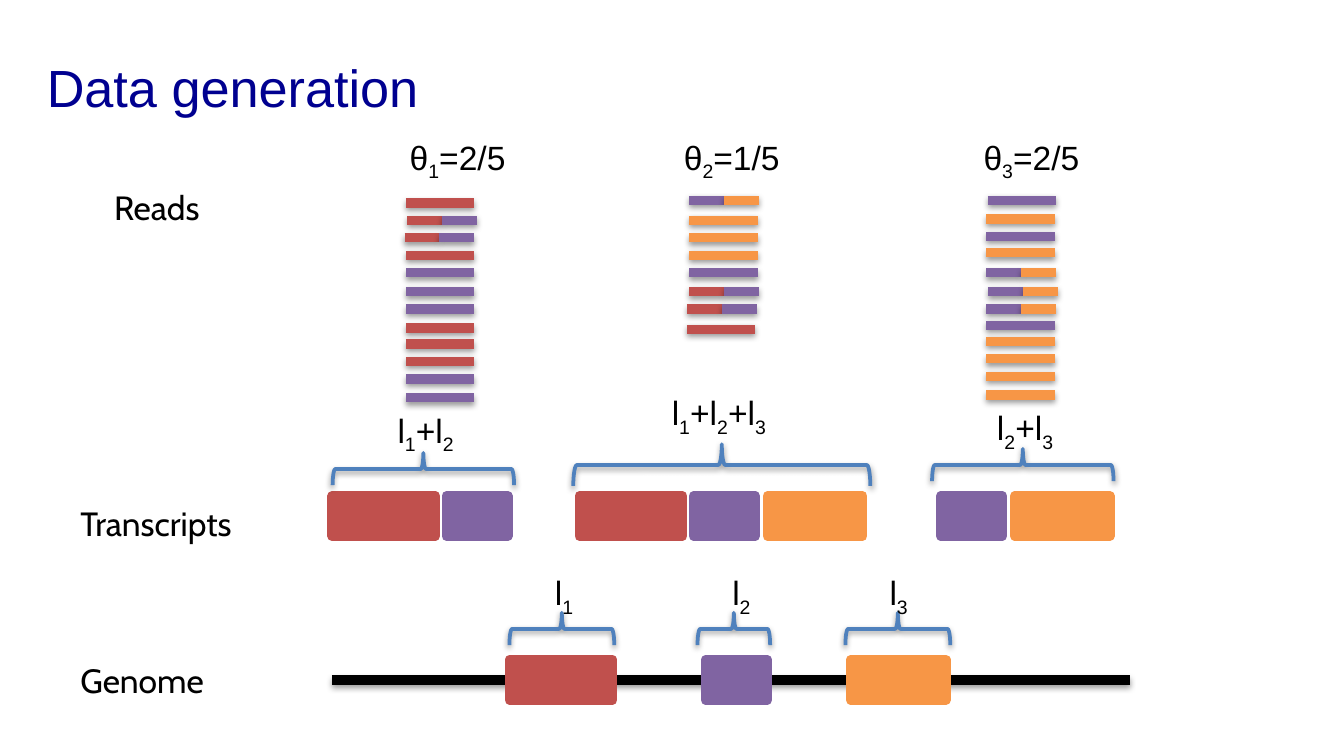
from dataclasses import dataclass

from lxml import etree
from pptx import Presentation
from pptx import util as u
from pptx.dml import color as dml
from pptx.enum import shapes, text
from pptx.oxml import ns

SLIDE_WIDTH = 10
SLIDE_HEIGHT = SLIDE_WIDTH * 9 / 16
BLACK, NAVY, BLUE = "000000", "000090", "4F81BD"
EXON_COLOURS = {"R": "C0504D", "P": "8064A2", "O": "F79646"}
EXON_WIDTHS = {"R": 0.77, "P": 0.46, "O": 0.71}
EXON_STEPS = {"R": 0.85, "P": 0.55, "O": 0.8}
EXON_HEIGHT = 0.3
GENOME_Y, TRANSCRIPT_TOP = 5.06, 3.69
READ_LENGTH, HALF_READ_LENGTH = 0.51, 0.26


@dataclass
class Label:
    """Text in which an underscore lowers the next character."""
    content: str
    left: float
    top: float
    width: float
    height: float = 0.4
    font: str = "Arial"
    size: int = 18
    colour: str = BLACK
    wrap: bool = False
    grow: bool = True


@dataclass
class Brace:
    centre_x: float
    centre_y: float
    span: float
    depth: float = 0.24


@dataclass
class Transcript:
    left: float
    exons: str


@dataclass
class Read:
    y: float
    exons: str
    shift: float = 0


@dataclass
class ReadStack:
    left: float
    reads: list[Read]


LABELS = [
    Label("Data generation", 0.25, 0.31, 9, 0.67, size=28, colour=NAVY, wrap=True,
          grow=False),
    Label("Reads", 0.75, 1.34, 0.85, font="Cabin"),
    Label("Transcripts", 0.5, 3.69, 1.43, font="Cabin"),
    Label("Genome", 0.5, 4.86, 1.13, font="Cabin"),
    Label("θ_1=2/5", 2.95, 0.97, 0.93),
    Label("θ_2=1/5", 4.99, 0.97, 0.93),
    Label("θ_3=2/5", 7.22, 0.97, 0.93),
    Label("l_1+l_2", 2.86, 3, 0.93, wrap=True),
    Label("l_1+l_2+l_3", 4.9, 2.87, 1.52, wrap=True),
    Label("l_2+l_3", 7.32, 2.98, 0.93, wrap=True),
    Label("l_1", 4.03, 4.21, 0.35),
    Label("l_2", 5.35, 4.21, 0.35),
    Label("l_3", 6.52, 4.21, 0.35),
]
BRACES = [
    Brace(3.15, 3.49, 1.35), Brace(5.37, 3.46, 2.21, 0.31), Brace(7.61, 3.46, 1.35),
    Brace(4.18, 4.68, 0.78), Brace(5.46, 4.68, 0.54), Brace(6.68, 4.68, 0.78),
]
TRANSCRIPTS = [Transcript(2.47, "RP"), Transcript(4.31, "RPO"), Transcript(7, "PO")]
GENOME_EXONS = {"R": 3.79, "P": 5.25, "O": 6.33}
GENOME_START, GENOME_END = 2.47, 8.41
READ_STACKS = [
    ReadStack(3.02, [
        Read(1.51, "R"), Read(1.64, "RP", 0.01), Read(1.77, "RP", -0.01),
        Read(1.9, "R"), Read(2.03, "P"), Read(2.17, "P"), Read(2.3, "P"),
        Read(2.44, "R"), Read(2.56, "R"), Read(2.69, "R"), Read(2.82, "P"),
        Read(2.96, "P")]),
    ReadStack(5.13, [
        Read(1.49, "PO"), Read(1.64, "O"), Read(1.77, "O"), Read(1.9, "O"),
        Read(2.03, "P"), Read(2.17, "RP"), Read(2.3, "RP", -0.02),
        Read(2.45, "R", -0.02)]),
    ReadStack(7.34, [
        Read(1.49, "P", 0.01), Read(1.63, "O"), Read(1.76, "P"), Read(1.88, "O"),
        Read(2.03, "PO"), Read(2.17, "PO", 0.01), Read(2.3, "PO"), Read(2.42, "P"),
        Read(2.54, "O"), Read(2.67, "O"), Read(2.8, "O"), Read(2.94, "O")]),
]


def length(inches: float) -> u.Length:
    return u.Cm(inches * 2.54)


def rgb(value: str) -> dml.RGBColor:
    return dml.RGBColor.from_string(value)


def add_soft_shadow(shape) -> None:
    effects = etree.SubElement(shape._element.spPr, ns.qn("a:effectLst"))
    shadow = etree.SubElement(effects, ns.qn("a:outerShdw"), blurRad="40000",
                              dist="20000", dir="5400000", rotWithShape="0")
    shade = etree.SubElement(shadow, ns.qn("a:srgbClr"), val=BLACK)
    etree.SubElement(shade, ns.qn("a:alpha"), val="38000")


def draw_bar(slide, start: float, end: float, y: float, colour: str) -> None:
    bar = slide.shapes.add_connector(shapes.MSO_CONNECTOR.STRAIGHT, length(start),
                                     length(y), length(end), length(y))
    bar.line.color.rgb = rgb(colour)
    bar.line.width = u.Pt(5)
    add_soft_shadow(bar)


def draw_exon(slide, exon: str, left: float, top: float) -> None:
    box = slide.shapes.add_shape(shapes.MSO_SHAPE.RECTANGLE, length(left), length(top),
                                 length(EXON_WIDTHS[exon]), length(EXON_HEIGHT))
    box.shadow.inherit = False
    box.fill.solid()
    box.fill.fore_color.rgb = rgb(EXON_COLOURS[exon])
    box.line.color.rgb = rgb(EXON_COLOURS[exon])
    box.line.width = u.Pt(5)


def draw_transcript(slide, transcript: Transcript) -> None:
    left = transcript.left
    for exon in transcript.exons:
        draw_exon(slide, exon, left, TRANSCRIPT_TOP)
        left += EXON_STEPS[exon]


def draw_genome(slide) -> None:
    start = GENOME_START
    for exon, left in GENOME_EXONS.items():
        draw_bar(slide, start, left, GENOME_Y, BLACK)
        start = left + EXON_WIDTHS[exon]
    draw_bar(slide, start, GENOME_END, GENOME_Y, BLACK)
    for exon, left in GENOME_EXONS.items():
        draw_exon(slide, exon, left, GENOME_Y - EXON_HEIGHT / 2)


def draw_read_stack(slide, stack: ReadStack) -> None:
    for read in stack.reads:
        part = READ_LENGTH if len(read.exons) == 1 else HALF_READ_LENGTH
        for index, exon in enumerate(read.exons):
            start = stack.left + read.shift + index * part
            draw_bar(slide, start, start + part, read.y, EXON_COLOURS[exon])


def draw_brace(slide, brace: Brace) -> None:
    shape = slide.shapes.add_shape(
        shapes.MSO_SHAPE.LEFT_BRACE,
        length(brace.centre_x - brace.depth / 2), length(brace.centre_y - brace.span / 2),
        length(brace.depth), length(brace.span))
    shape.rotation = 90
    shape.fill.background()
    shape.line.color.rgb = rgb(BLUE)
    shape.line.width = u.Pt(2)
    add_soft_shadow(shape)


def draw_label(slide, label: Label) -> None:
    box = slide.shapes.add_textbox(length(label.left), length(label.top),
                                   length(label.width), length(label.height))
    frame = box.text_frame
    frame.word_wrap = label.wrap
    if label.grow:
        frame.auto_size = text.MSO_AUTO_SIZE.SHAPE_TO_FIT_TEXT
    else:
        frame.vertical_anchor = text.MSO_ANCHOR.MIDDLE
    first, *others = label.content.split("_")
    pieces = [(first, False)]
    for other in others:
        pieces += [(other[0], True), (other[1:], False)]
    for content, lowered in pieces:
        if not content:
            continue
        run = frame.paragraphs[0].add_run()
        run.text = content
        run.font.name = label.font
        run.font.size = u.Pt(label.size)
        run.font.color.rgb = rgb(label.colour)
        if lowered:
            run.font._element.set("baseline", "-25000")


def main() -> None:
    presentation = Presentation()
    presentation.slide_width = length(SLIDE_WIDTH)
    presentation.slide_height = length(SLIDE_HEIGHT)
    slide = presentation.slides.add_slide(presentation.slide_layouts[6])
    # Genome and transcripts
    draw_genome(slide)
    for transcript in TRANSCRIPTS:
        draw_transcript(slide, transcript)
    # Reads
    for stack in READ_STACKS:
        draw_read_stack(slide, stack)
    # Braces and labels
    for brace in BRACES:
        draw_brace(slide, brace)
    for label in LABELS:
        draw_label(slide, label)
    presentation.save("out.pptx")


if __name__ == "__main__":
    main()
